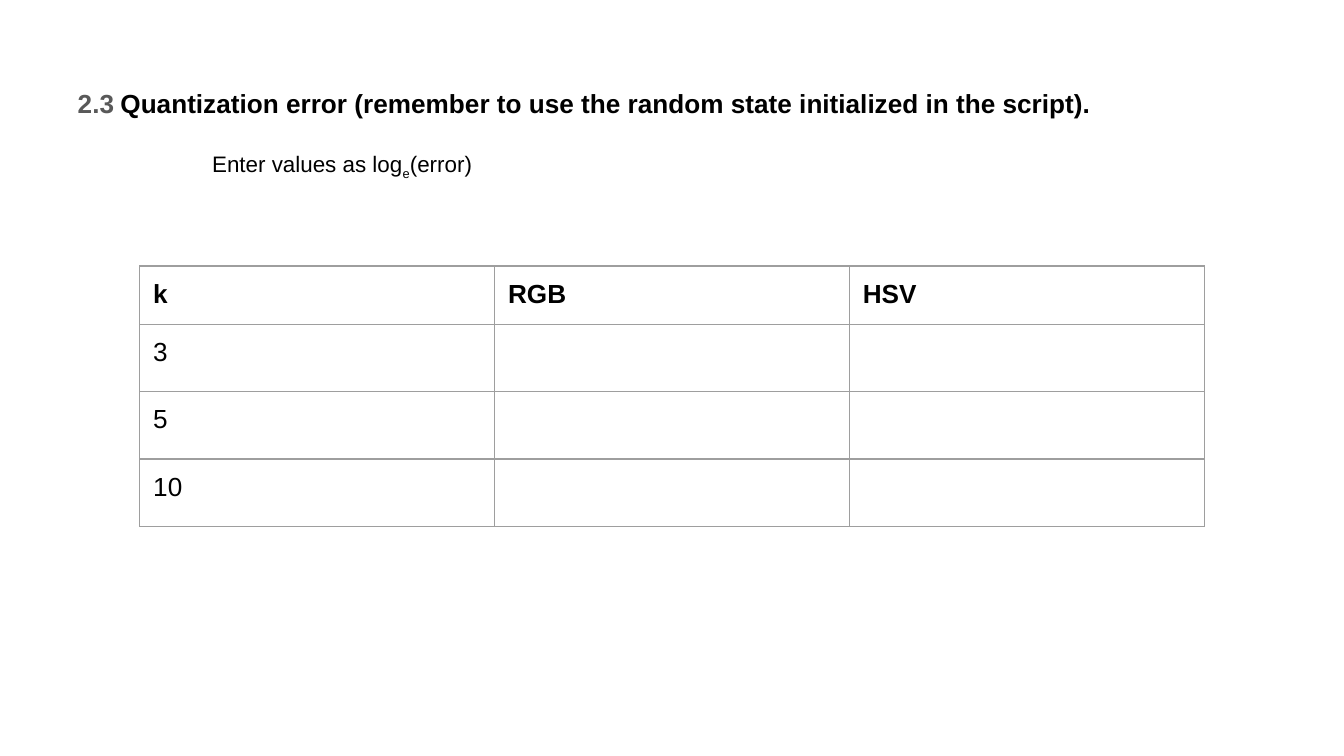
from dataclasses import dataclass

from lxml import etree
from pptx import Presentation
from pptx.dml.color import RGBColor
from pptx.oxml.ns import qn
from pptx.util import Inches, Pt

FONT = "Arial"
BLACK, GREY, BORDER = "000000", "595959", "9E9E9E"


@dataclass
class Span:
    text: str
    size: int = 12
    bold: bool = False
    color: str = BLACK
    baseline: int = 0


def rgb(value: str) -> RGBColor:
    return RGBColor.from_string(value)


def add_span(p, span: Span) -> None:
    r = p.add_run()
    r.text = span.text
    r.font.name, r.font.size, r.font.bold = FONT, Pt(span.size), span.bold
    r.font.color.rgb = rgb(span.color)
    if span.baseline:
        r.font._element.set("baseline", str(span.baseline))


def set_empty_font(p, size: int) -> None:
    end = etree.SubElement(p._p, qn("a:endParaRPr"), sz=str(size * 100))
    etree.SubElement(end, qn("a:latin"), typeface=FONT)


def set_margins(target, inset: float = 0.1) -> None:
    target.margin_left = target.margin_right = Inches(inset)
    target.margin_top = target.margin_bottom = Inches(inset)


def add_borders(cell, color: str, width: float) -> None:
    tc_pr = cell._tc.get_or_add_tcPr()
    for i, side in enumerate(("lnL", "lnR", "lnT", "lnB")):
        ln = etree.Element(qn(f"a:{side}"), w=str(Pt(width)))
        fill = etree.SubElement(ln, qn("a:solidFill"))
        etree.SubElement(fill, qn("a:srgbClr"), val=color)
        tc_pr.insert(i, ln)


# A 16:9 slide
prs = Presentation()
prs.slide_width = Inches(10)
prs.slide_height = Inches(10 * 9 / 16)
s = prs.slides.add_slide(prs.slide_layouts[6])

# Heading and instruction
box = s.shapes.add_textbox(Inches(0.48), Inches(0.55), Inches(8.78), Inches(4.52))
tf = box.text_frame
tf.word_wrap = True
set_margins(tf)
heading = [
    Span("2.3", 14, True, GREY),
    Span(" "),
    Span("Quantization error (remember to use the random state "
         "initialized in the script).", 14, True),
]
instruction = [Span("Enter values as log"), Span("e", baseline=-25000), Span("(error)")]
for span in heading:
    add_span(tf.paragraphs[0], span)
p = tf.add_paragraph()
p.space_before = Pt(17)
p._p.get_or_add_pPr().set("marL", str(Inches(1)))
for span in instruction:
    add_span(p, span)

# Error table
rows = [("k", "RGB", "HSV"), ("3", "", ""), ("5", "", ""), ("10", "", "")]
col_width, row_height = 2.64, 0.42
frame = s.shapes.add_table(len(rows), 3, Inches(1.04), Inches(1.98),
                           Inches(3 * col_width), Inches(len(rows) * row_height))
table = frame.table
table.first_row = table.horz_banding = False
for col in table.columns:
    col.width = Inches(col_width)
for i, values in enumerate(rows):
    table.rows[i].height = Inches(row_height)
    for j, value in enumerate(values):
        cell = table.cell(i, j)
        set_margins(cell)
        cell.fill.background()
        add_borders(cell, BORDER, 0.75)
        p = cell.text_frame.paragraphs[0]
        if value:
            add_span(p, Span(value, 14, i == 0))
        else:
            set_empty_font(p, 18)

prs.save("out.pptx")
